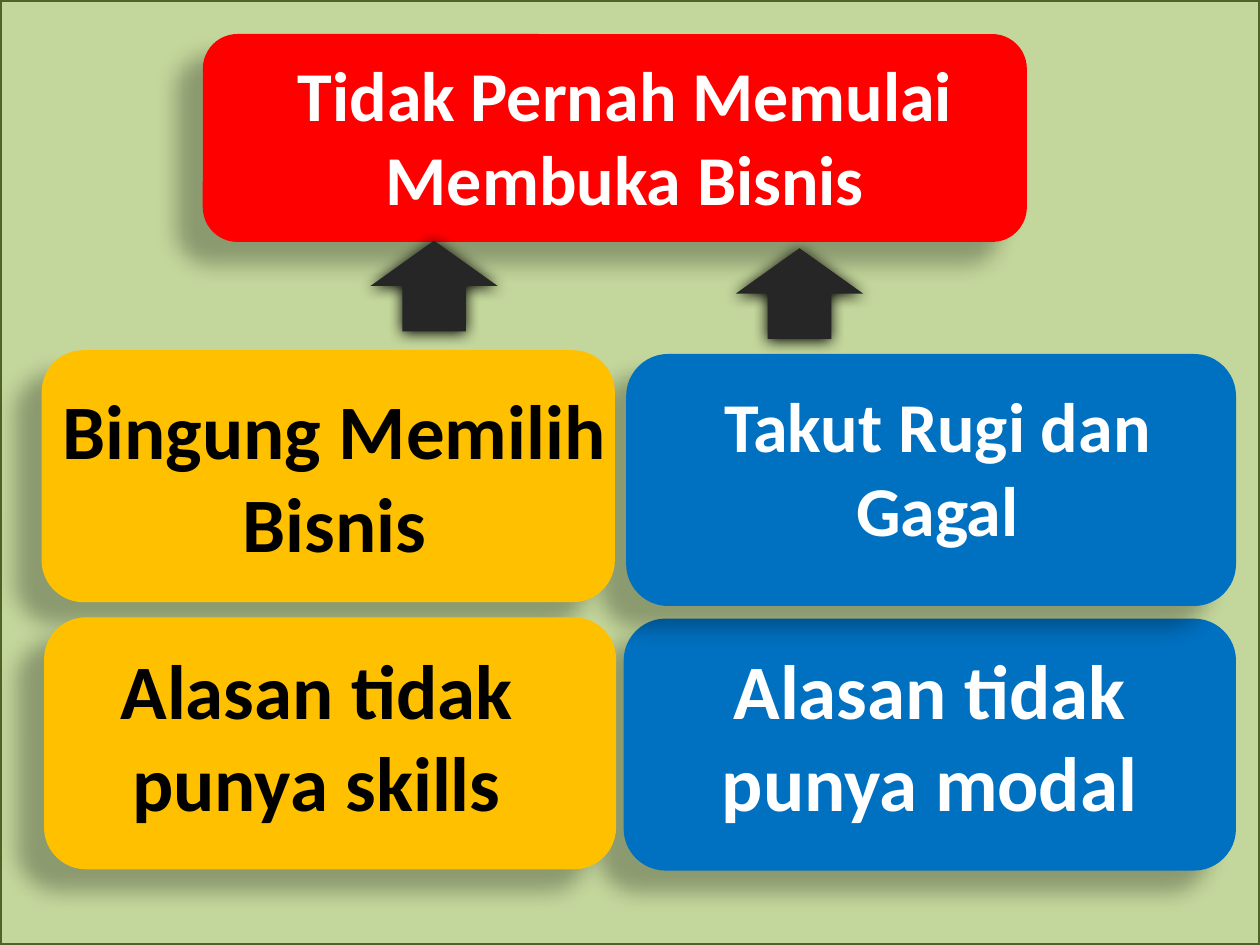
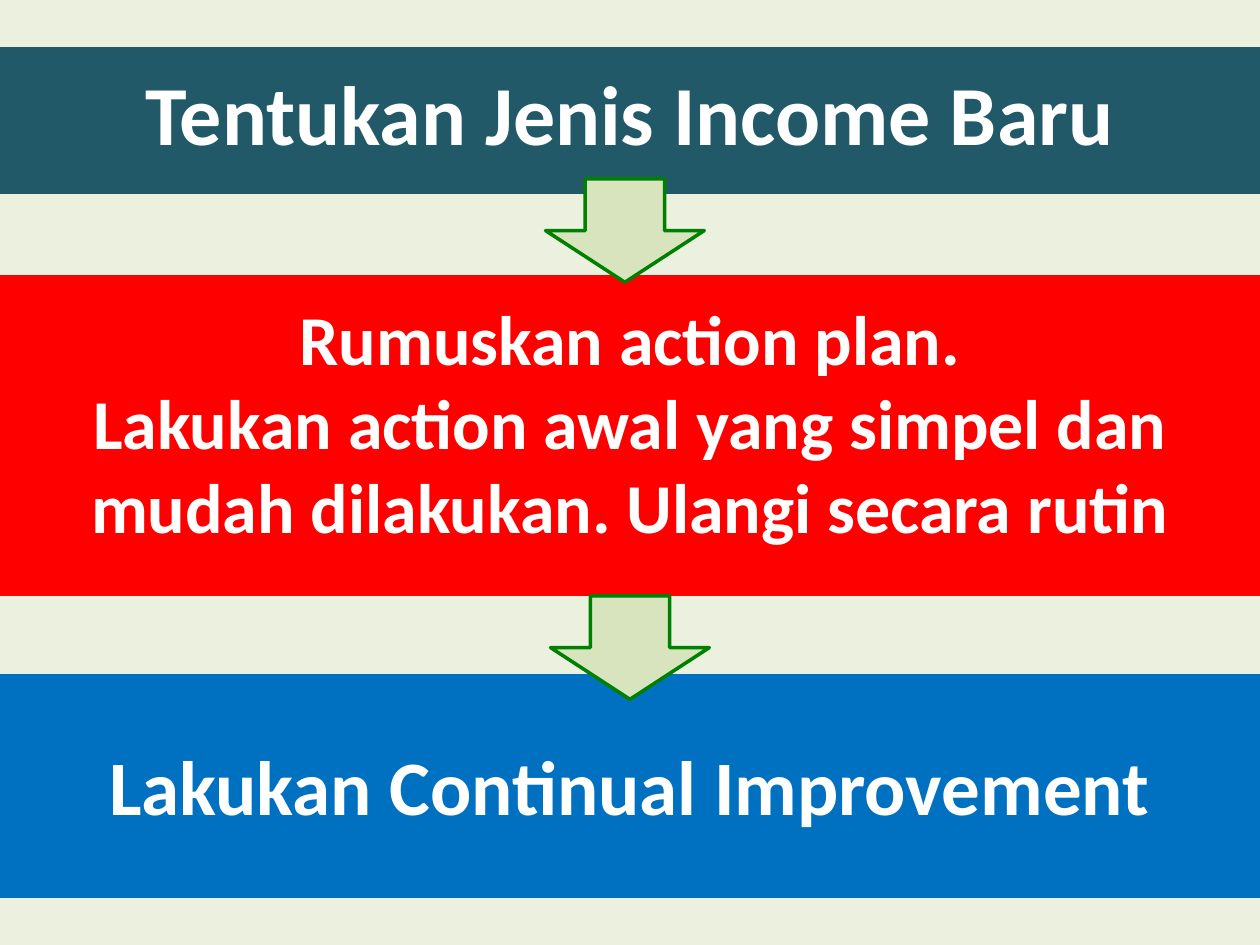
"""Builds two slides on starting a business: the obstacles and the steps."""
from lxml import etree
from pptx import Presentation
from pptx import util as u
from pptx.dml.color import RGBColor
from pptx.enum import shapes, text
from pptx.oxml.ns import qn

COLORS = {
    "sage": "C3D69B", "olive": "4F6228", "cream": "EBF1DE", "blue": "0070C0",
    "amber": "FFC000", "red": "FF0000", "teal": "215968", "charcoal": "262626",
    "pale": "D7E4BD", "green": "008000", "white": "FFFFFF", "black": "000000",
}
COLS, ROWS = 100, 75
KIND = shapes.MSO_SHAPE
CARD_SHADOW = dict(alpha=28, blur=11.8, dist=19.7, angle=141)
ARROW_SHADOW = dict(alpha=100, blur=8.5, dist=1, angle=90)


class Deck:
    """Holds the style, the grid and the current slide."""

    def __init__(self, font="Calibri"):
        """Start an empty 4:3 presentation."""
        self.prs = Presentation()
        self.prs.slide_width, self.prs.slide_height = u.Inches(10), u.Inches(7.5)
        self.font = font
        self.s = None

    def slide(self, fill, line):
        """Add a blank slide covered by a framed background."""
        self.s = self.prs.slides.add_slide(self.prs.slide_layouts[6])
        self.shape(KIND.RECTANGLE, (0, 0, COLS, ROWS), fill, line)

    def grid(self, at):
        """Turn columns and rows into lengths."""
        col, row = self.prs.slide_width / COLS, self.prs.slide_height / ROWS
        return [round(n * unit) for n, unit in zip(at, (col, row, col, row))]

    def color(self, name):
        """Return a named colour."""
        return RGBColor.from_string(COLORS[name])

    def shape(self, kind, at, fill, line=None, shadow=None):
        """Add a filled preset shape with an optional outline and shadow."""
        sp = self.s.shapes.add_shape(kind, *self.grid(at))
        sp.fill.solid()
        sp.fill.fore_color.rgb = self.color(fill)
        if line:
            sp.line.color.rgb = self.color(line)
            sp.line.width = u.Pt(2)
        else:
            sp.line.fill.background()
        sp.shadow.inherit = False
        if shadow:
            self.cast(sp, **shadow)
        return sp

    def cast(self, sp, alpha, blur, dist, angle):
        """Give a shape an outer shadow."""
        effects = sp._element.spPr.find(qn("a:effectLst"))
        outer = etree.SubElement(
            effects, qn("a:outerShdw"), blurRad=str(u.Pt(blur)),
            dist=str(u.Pt(dist)), dir=str(angle * 60000), rotWithShape="0")
        rgb = etree.SubElement(outer, qn("a:srgbClr"), val=COLORS["black"])
        etree.SubElement(rgb, qn("a:alpha"), val=str(alpha * 1000))

    def text(self, words, at, size=40, color="white"):
        """Add centred bold text, one paragraph per line of words."""
        tf = self.s.shapes.add_textbox(*self.grid(at)).text_frame
        tf.word_wrap = True
        for i, line in enumerate(words.split("\n")):
            p = tf.paragraphs[0] if i == 0 else tf.add_paragraph()
            p.alignment = text.PP_ALIGN.CENTER
            r = p.add_run()
            r.text = line
            r.font.name, r.font.size, r.font.bold = self.font, u.Pt(size), True
            r.font.color.rgb = self.color(color)

    def card(self, at, fill):
        """Add a rounded card with a soft shadow."""
        self.shape(KIND.ROUNDED_RECTANGLE, at, fill, shadow=CARD_SHADOW)


def obstacles(deck):
    """Draw the reasons that lead to never starting."""
    deck.slide("sage", "olive")
    for at, fill in (
        ((49.5, 49.1, 48.6, 20), "blue"),
        ((49.7, 28.1, 48.4, 20), "blue"),
        ((3.3, 27.8, 45.5, 20), "amber"),
        ((3.5, 49, 45.4, 20), "amber"),
        ((16.1, 2.7, 65.4, 16.5), "red"),
    ):
        deck.card(at, fill)
    for left, top in ((29.4, 19.1), (58.4, 19.7)):
        deck.shape(KIND.UP_ARROW, (left, top, 10.1, 7.2), "charcoal",
                   shadow=ARROW_SHADOW)
    deck.text("Tidak Pernah Memulai Membuka Bisnis", (17.7, 3.6, 63.8, 14.5))
    deck.text("Bingung Memilih Bisnis", (2, 29.9, 49.1, 15.8), 44, "black")
    deck.text("Takut Rugi dan\nGagal", (48.8, 29.9, 51.2, 14.5))
    deck.text("Alasan tidak punya modal", (49.5, 50.5, 48.6, 15.8), 44)
    deck.text("Alasan tidak punya skills", (3.3, 50.5, 43.7, 15.8), 44, "black")


def steps(deck):
    """Draw the three steps as full-width bands joined by arrows."""
    deck.slide("cream", "cream")
    for top, height, fill, words, text_top, size in (
        (3.9, 11.4, "teal", "Tentukan Jenis Income Baru", 4.4, 48),
        (22, 25.2, "red", "Rumuskan action plan.\n"
         "Lakukan action awal yang simpel dan\n"
         "mudah dilakukan. Ulangi secara rutin", 23, 40),
        (53.6, 17.5, "blue", "Lakukan Continual Improvement", 58.1, 44),
    ):
        deck.shape(KIND.RECTANGLE, (0, top, COLS, height), fill, fill)
        deck.text(words, (0, text_top, COLS, height - 3), size)
    for left, top in ((43.3, 14.2), (43.7, 47.3)):
        deck.shape(KIND.DOWN_ARROW, (left, top, 12.6, 8.2), "pale", "green")


def main():
    """Build and save the deck."""
    deck = Deck()
    obstacles(deck)
    steps(deck)
    deck.prs.save("out.pptx")


if __name__ == "__main__":
    main()
